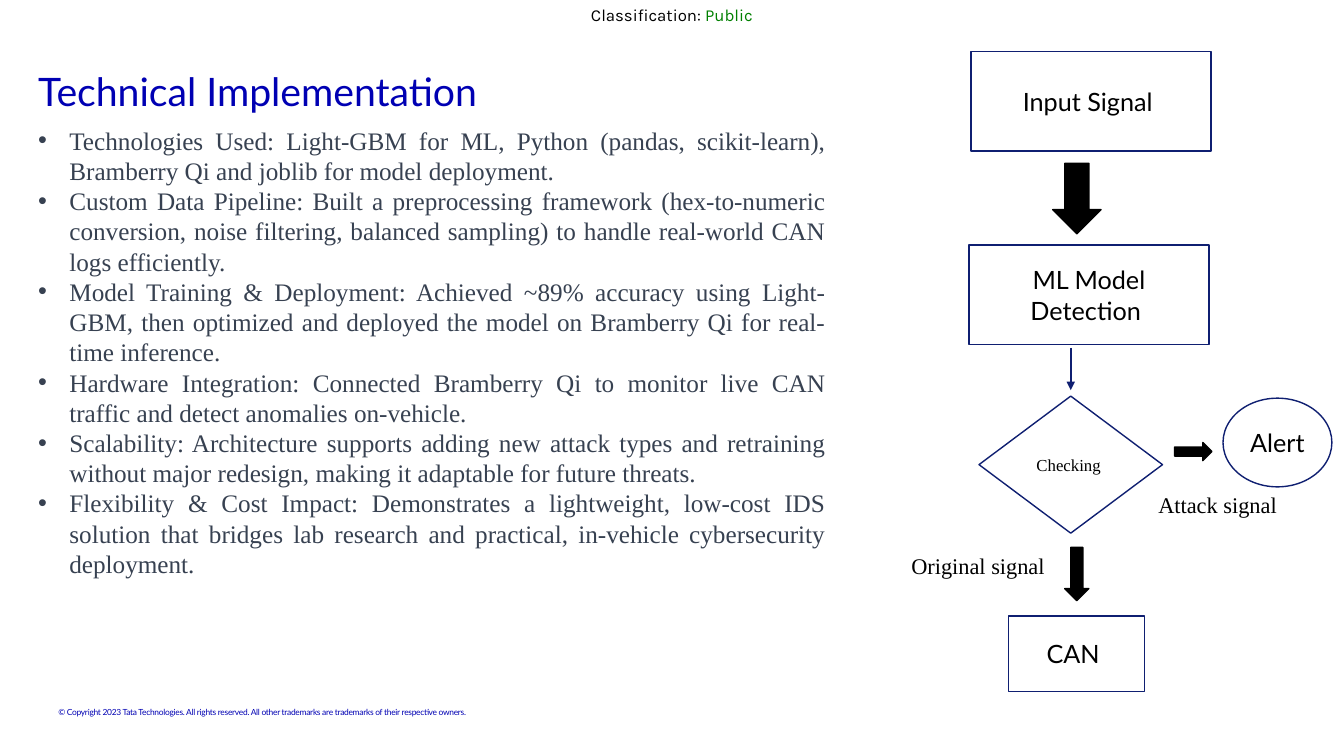
from pptx import Presentation
from pptx.dml.color import RGBColor
from pptx.enum.shapes import MSO_CONNECTOR as Connector, MSO_SHAPE as Shape
from pptx.enum.text import MSO_ANCHOR as Anchor, PP_ALIGN as Align
from pptx.oxml.ns import qn
from pptx.util import Inches, Pt
from lxml.etree import SubElement

COLORS = {"white": "FFFFFF", "black": "000000", "navy": "0F1F71",
          "blue": "0000B3", "slate": "374151", "green": "008000"}
SANS, SERIF, LABEL = "Lato", "Times New Roman", "Karla"

TITLE = "Technical Implementation"
COPYRIGHT = ("© Copyright 2023 Tata Technologies. All rights reserved. "
             "All other trademarks are trademarks of their respective owners.")
CLASSIFICATION = [("Classification: ", "black"), ("Public", "green")]
BULLETS = [
    "Technologies Used: Light-GBM for ML, Python (pandas, scikit-learn), "
    "Bramberry Qi and joblib for model deployment.",
    "Custom Data Pipeline: Built a preprocessing framework (hex-to-numeric conversion, "
    "noise filtering, balanced sampling) to handle real-world CAN logs efficiently.",
    "Model Training & Deployment: Achieved ~89% accuracy using Light-GBM, then optimized "
    "and deployed the model on Bramberry Qi for real-time inference.",
    "Hardware Integration: Connected Bramberry Qi to monitor live CAN traffic "
    "and detect anomalies on-vehicle.",
    "Scalability: Architecture supports adding new attack types and retraining "
    "without major redesign, making it adaptable for future threats.",
    "Flexibility & Cost Impact: Demonstrates a lightweight, low-cost IDS solution that "
    "bridges lab research and practical, in-vehicle cybersecurity deployment.",
]
STEPS = [
    ("Input Signal ", Shape.RECTANGLE, (9.63, 0.51, 2.38, 0.99), SANS, 18),
    ("ML Model Detection ", Shape.RECTANGLE, (9.61, 2.43, 2.38, 0.99), SANS, 18),
    ("Checking ", Shape.DIAMOND, (9.71, 3.93, 1.82, 1.36), SERIF, 12),
    ("CAN ", Shape.RECTANGLE, (10, 6.11, 1.35, 0.75), SANS, 18),
    ("Alert", Shape.OVAL, (12.13, 3.95, 1.08, 0.88), SANS, 18),
]
BLOCK_ARROWS = [
    (Shape.DOWN_ARROW, (10.44, 1.62, 0.48, 0.7)),
    (Shape.DOWN_ARROW, (10.56, 5.43, 0.24, 0.53)),
    (Shape.RIGHT_ARROW, (11.65, 4.39, 0.37, 0.18)),
]
BRANCH_LABELS = [
    ("Original signal", (8.94, 5.43, 1.7, 0.37)),
    ("Attack signal", (11.39, 4.82, 1.52, 0.37)),
]
CHECK_ARROW = (10.62, 3.45, 10.62, 3.87)


def rgb(name):
    return RGBColor.from_string(COLORS[name])


def write(para, text, font=SANS, size=18, color="black", align=None, tracking=None):
    if align is not None:
        para.alignment = align
    span = para.add_run()
    span.text = text
    span.font.name = font
    span.font.size = Pt(size)
    span.font.color.rgb = rgb(color)
    if tracking is not None:
        span.font._element.set("spc", str(round(tracking * 100)))


def add_text_box(page, place):
    box = page.shapes.add_textbox(*map(Inches, place))
    box.text_frame.word_wrap = True
    return box.text_frame


def add_block(page, kind, place, fill="white", line=None):
    block = page.shapes.add_shape(kind, *map(Inches, place))
    block.shadow.inherit = False
    block.fill.solid()
    block.fill.fore_color.rgb = rgb(fill)
    if line:
        block.line.color.rgb = rgb(line)
        block.line.width = Pt(1)
    else:
        block.line.fill.background()
    block.text_frame.word_wrap = True
    block.text_frame.vertical_anchor = Anchor.MIDDLE
    return block.text_frame


def add_bullet(para, indent=0.31):
    props = para._p.get_or_add_pPr()
    props.set("marL", str(Inches(indent)))
    props.set("indent", str(-Inches(indent)))
    SubElement(props, qn("a:buFont")).set("typeface", "Arial")
    SubElement(props, qn("a:buChar")).set("char", "•")
    para.line_spacing = Pt(21.6)


def add_arrow(page, place, color, width):
    arrow = page.shapes.add_connector(Connector.STRAIGHT, *map(Inches, place))
    arrow.line.color.rgb = rgb(color)
    arrow.line.width = Pt(width)
    SubElement(arrow.line._get_or_add_ln(), qn("a:tailEnd")).set("type", "triangle")
    SubElement(arrow._element.spPr, qn("a:effectLst"))


def main():
    deck = Presentation()
    deck.slide_width, deck.slide_height = Inches(13.33), Inches(7.5)
    page = deck.slides.add_slide(deck.slide_layouts[6])

    footer = add_text_box(page, (0.48, 6.97, 6.67, 0.2))
    write(footer.paragraphs[0], COPYRIGHT, size=6, color="blue", tracking=-0.2)

    banner = add_block(page, Shape.RECTANGLE, (0, 0, 13.33, 0.3))
    for text, color in CLASSIFICATION:
        write(banner.paragraphs[0], text, font=LABEL, size=12, color=color, align=Align.CENTER)

    title = add_text_box(page, (0.28, 0.62, 12.68, 0.57))
    write(title.paragraphs[0], TITLE, size=28, color="blue")

    body = add_text_box(page, (0.28, 1.19, 8.01, 4.64))
    for index, text in enumerate(BULLETS):
        para = body.add_paragraph() if index else body.paragraphs[0]
        add_bullet(para)
        write(para, text, font=SERIF, color="slate", align=Align.JUSTIFY)

    for text, kind, place, font, size in STEPS:
        step = add_block(page, kind, place, line="navy")
        write(step.paragraphs[0], text, font=font, size=size, align=Align.CENTER)
    for kind, place in BLOCK_ARROWS:
        add_block(page, kind, place, fill="black", line="black")
    for text, place in BRANCH_LABELS:
        label = add_text_box(page, place)
        write(label.paragraphs[0], text, font=SERIF, size=16)
    add_arrow(page, CHECK_ARROW, "navy", 1.5)

    deck.save("out.pptx")


if __name__ == "__main__":
    main()
